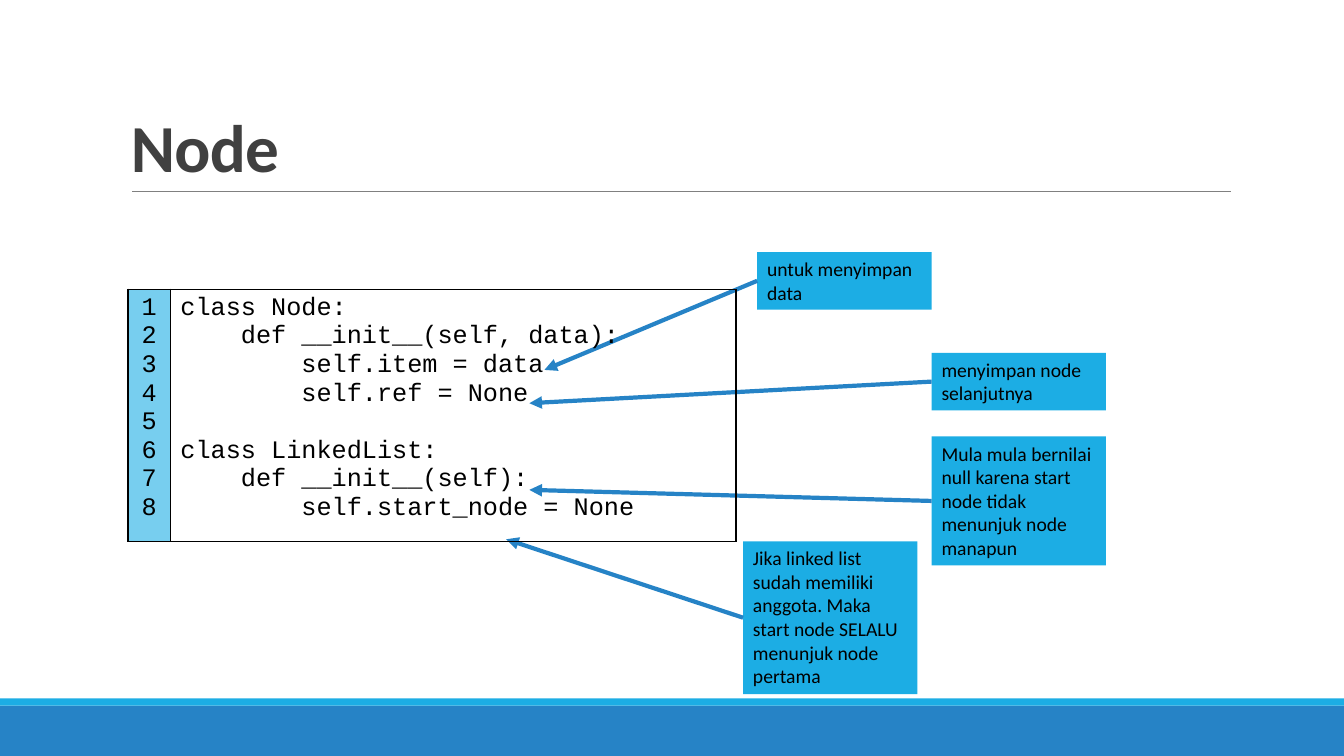
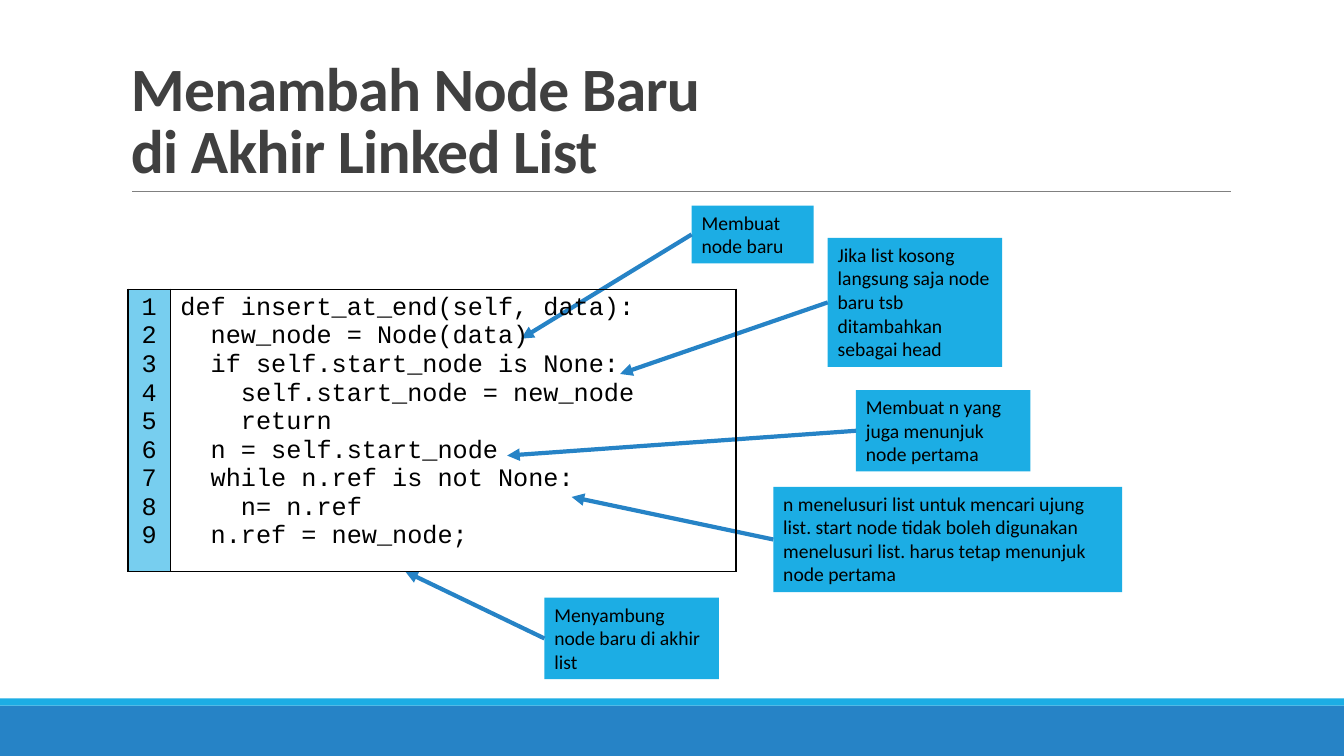
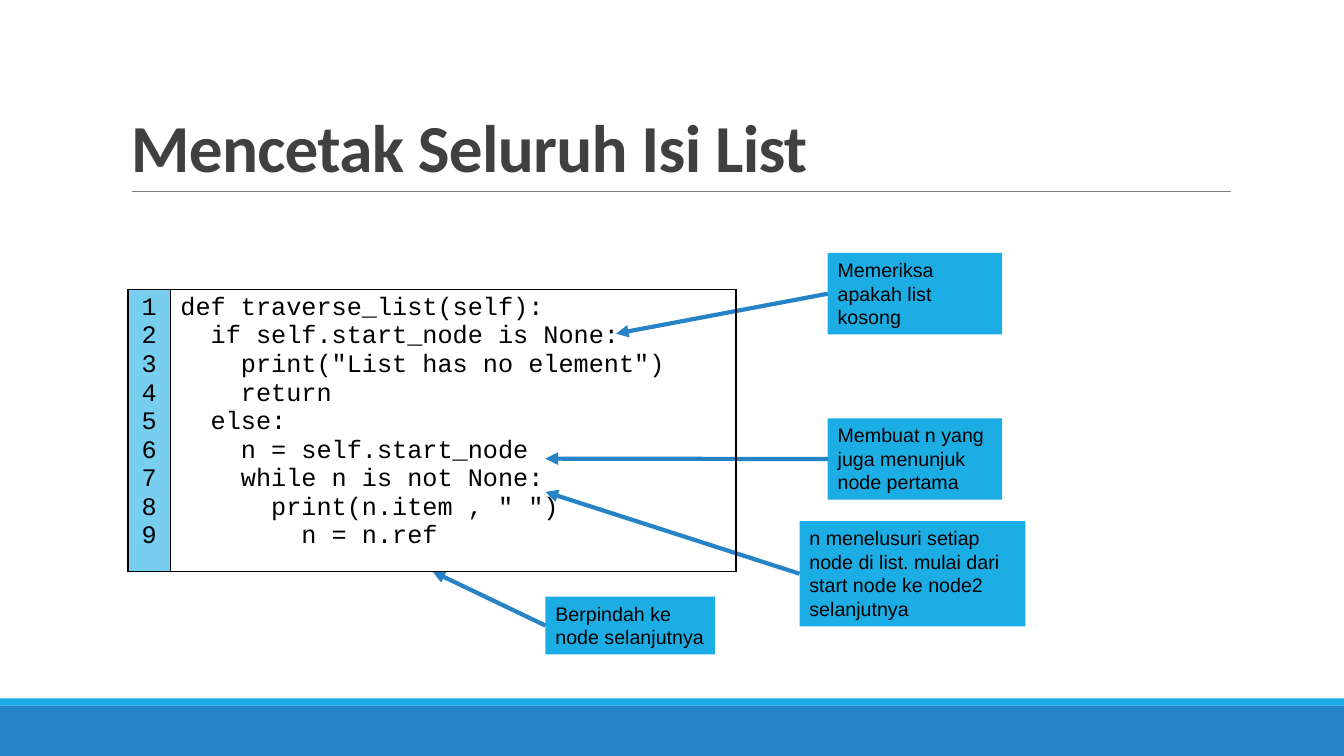
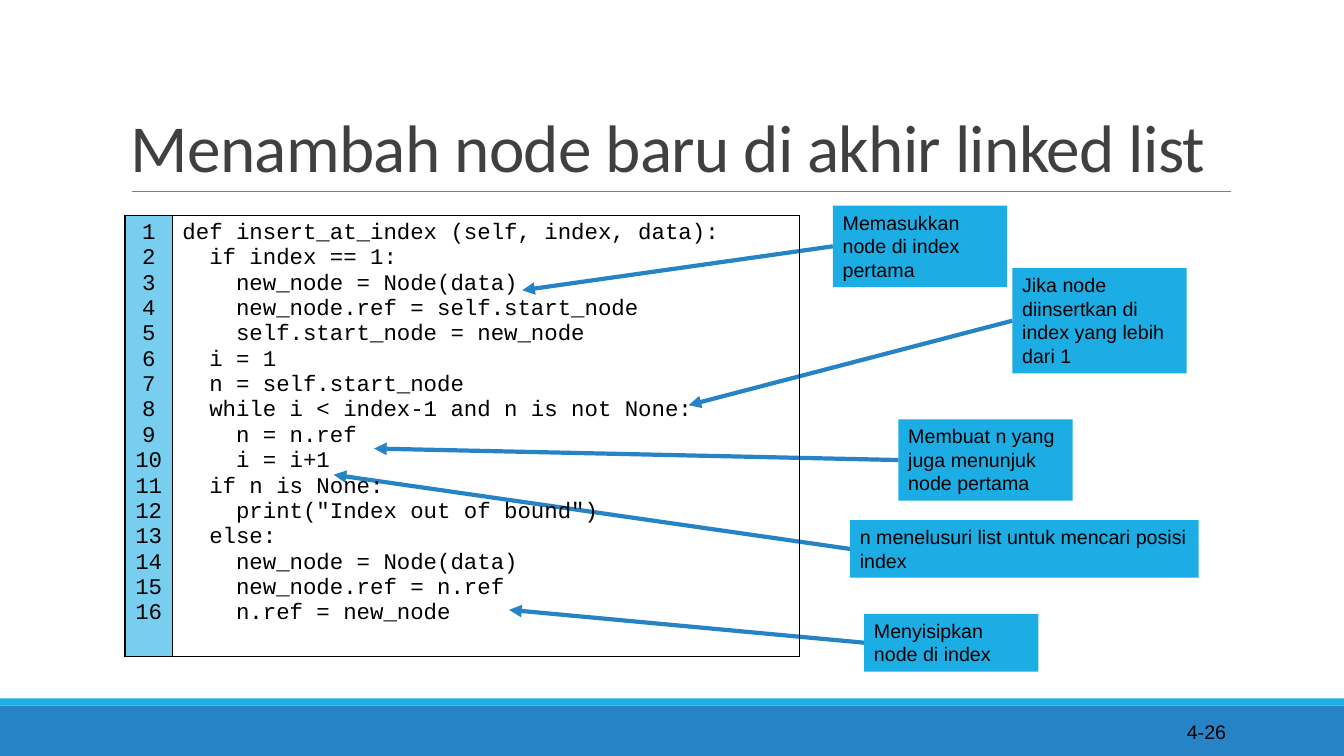
from pptx import Presentation
from pptx.dml.color import RGBColor
from pptx.enum.shapes import MSO_CONNECTOR as CONN, MSO_SHAPE as SHAPE
from pptx.enum.text import MSO_ANCHOR as ANCHOR, PP_ALIGN as ALIGN
from pptx.oxml import parse_xml
from pptx.oxml.ns import nsdecls, qn
from pptx.util import Inches, Pt

COLORS = {"blue": "2683C6", "cyan": "1CADE4", "pale": "77CEEF",
          "rule": "808080", "title": "404040", "black": "000000"}
LEFT_SIDE = 1
NOTE_W = 1.73

# notes: (text, left, top, width, text lines, arrow tip)
# table: left, top, height, number column width, code column width, text size
SLIDES = [
    {"title": "Node", "size": 48, "bold": True, "font": "Calibri",
     "table": (1.27, 2.87, 2.5, 0.42, 5.61, 18),
     "code": """class Node:
    def __init__(self, data):
        self.item = data
        self.ref = None

class LinkedList:
    def __init__(self):
        self.start_node = None""",
     "notes": [
         ("untuk menyimpan data", 7.51, 2.5, NOTE_W, 2, (5.4, 3.67)),
         ("menyimpan node selanjutnya", 9.24, 3.5, NOTE_W, 2, (5.25, 4)),
         ("Mula mula bernilai null karena start node tidak menunjuk node manapun",
          9.24, 4.33, NOTE_W, 5, (5.25, 4.86)),
         ("Jika linked list sudah memiliki anggota. Maka start node SELALU "
          "menunjuk node pertama", 7.37, 5.37, NOTE_W, 6, (5.02, 5.35)),
     ]},
    {"title": "Menambah Node Baru\ndi Akhir Linked List", "size": 44, "bold": True,
     "font": "Calibri",
     "table": (1.27, 2.87, 2.8, 0.42, 5.61, 18),
     "code": """def insert_at_end(self, data):
  new_node = Node(data)
  if self.start_node is None:
    self.start_node = new_node
    return
  n = self.start_node
  while n.ref is not None:
    n= n.ref
  n.ref = new_node;""",
     "notes": [
         ("Membuat node baru", 6.86, 2.04, 1.21, 2, (5.17, 3.36)),
         ("Jika list kosong langsung saja node baru tsb ditambahkan sebagai head",
          8.21, 2.36, NOTE_W, 5, (6.15, 3.71)),
         ("Membuat n yang juga menunjuk node pertama",
          8.49, 3.87, NOTE_W, 3, (5.03, 4.52)),
         ("n menelusuri list untuk mencari ujung list. start node tidak boleh "
          "digunakan menelusuri list. harus tetap menunjuk node pertama",
          7.67, 4.83, 2 * NOTE_W, 4, (5.67, 4.93)),
         ("Menyambung node baru di akhir list", 5.4, 5.93, NOTE_W, 3, (4.02, 5.67)),
     ]},
    {"title": "Mencetak Seluruh Isi List", "size": 48, "bold": True, "font": "Arial",
     "table": (1.27, 2.87, 2.8, 0.42, 5.61, 18),
     "code": """def traverse_list(self):
  if self.start_node is None:
    print("List has no element")
    return
  else:
    n = self.start_node
    while n is not None:
      print(n.item , " ")
        n = n.ref""",
     "notes": [
         ("Memeriksa apakah list kosong", 8.21, 2.51, NOTE_W, 3, (6.11, 3.31)),
         ("Membuat n yang juga menunjuk node pertama",
          8.21, 4.15, NOTE_W, 3, (5.41, 4.55)),
         ("n menelusuri setiap node di list. mulai dari start node ke node2 "
          "selanjutnya", 7.93, 5.17, 2.24, 4, (5.41, 4.88)),
         ("Berpindah ke node selanjutnya", 5.41, 5.92, 1.68, 2, (4.29, 5.67)),
     ]},
    {"title": "Menambah node baru di akhir linked list", "size": 48, "bold": False,
     "font": "Arial", "number": "4-26",
     "table": (1.24, 2.14, 4.37, 0.47, 6.22, 16),
     "code": """def insert_at_index (self, index, data):
  if index == 1:
    new_node = Node(data)
    new_node.ref = self.start_node
    self.start_node = new_node
  i = 1
  n = self.start_node
  while i < index-1 and n is not None:
    n = n.ref
    i = i+1
  if n is None:
    print("Index out of bound")
  else:
    new_node = Node(data)
    new_node.ref = n.ref
    n.ref = new_node""",
     "notes": [
         ("Memasukkan node di index pertama", 8.26, 2.04, NOTE_W, 3, (5.18, 2.88)),
         ("Jika node diinsertkan di index yang lebih dari 1",
          10.04, 2.66, NOTE_W, 4, (6.83, 4.02)),
         ("Membuat n yang juga menunjuk node pertama",
          8.91, 4.16, NOTE_W, 3, (3.71, 4.45)),
         ("n menelusuri list untuk mencari posisi index",
          8.43, 5.16, 2 * NOTE_W, 2, (3.31, 4.71)),
         ("Menyisipkan node di index", 8.57, 6.09, NOTE_W, 2, (5.05, 6.05)),
     ]},
]


def rgb(name):
    return RGBColor.from_string(COLORS[name])


def paint(sp, color):
    sp.fill.solid()
    sp.fill.fore_color.rgb = rgb(color)


def style(p, font, size, color="black", bold=False, align=ALIGN.LEFT):
    p.font.name, p.font.size, p.font.bold = font, Pt(size), bold
    p.font.color.rgb = rgb(color)
    p.alignment = align


def add_text(s, text, left, top, width, height, anchor=ANCHOR.TOP):
    """Add a wrapping text box; return it with its first paragraph."""
    sp = s.shapes.add_textbox(*map(Inches, (left, top, width, height)))
    tf = sp.text_frame
    tf.word_wrap = True
    tf.vertical_anchor = anchor
    p = tf.paragraphs[0]
    p.text = text
    return sp, p


def add_line(s, start, end, color, width):
    line = s.shapes.add_connector(CONN.STRAIGHT, *map(Inches, (*start, *end)))
    line.line.color.rgb = rgb(color)
    line.line.width = Pt(width)
    line._element.spPr.append(parse_xml(f"<a:effectLst {nsdecls('a')}/>"))
    return line


def add_frame(s, title, size, bold):
    """Add the bands, the rule and the title that every slide has."""
    for top, height, color in ((7, 0.5, "blue"), (6.93, 0.07, "cyan")):
        band = s.shapes.add_shape(SHAPE.RECTANGLE, 0, Inches(top),
                                  prs.slide_width, Inches(height))
        paint(band, color)
        band.line.fill.background()
        band.shadow.inherit = False
    add_line(s, (1.31, 1.9), (12.21, 1.9), "rule", 0.5)
    _, p = add_text(s, title, 1.2, 0.31, 11, 1.59, ANCHOR.BOTTOM)
    style(p, "Calibri", size, "title", bold)
    p.line_spacing = 0.85
    p._p.pPr.find(qn("a:defRPr")).set("spc", "-50")


def add_note(s, font, text, left, top, width, lines, tip):
    box, p = add_text(s, text, left, top, width, 0.1 + 0.236 * lines)
    paint(box, "cyan")
    style(p, font, 14)
    arrow = add_line(s, (left, top), tip, "blue", 3)
    arrow.begin_connect(box, LEFT_SIDE)
    arrow.line._get_or_add_ln().append(
        parse_xml(f'<a:tailEnd {nsdecls("a")} type="triangle"/>'))


def add_borders(cell):
    tcPr = cell._tc.get_or_add_tcPr()
    for i, side in enumerate(("lnL", "lnR", "lnT", "lnB")):
        tcPr.insert(i, parse_xml(
            f'<a:{side} {nsdecls("a")} w="{Pt(1)}"><a:solidFill>'
            f'<a:srgbClr val="{COLORS["black"]}"/></a:solidFill></a:{side}>'))


def add_code(s, code, left, top, height, number_w, code_w, size):
    table = s.shapes.add_table(1, 2, *map(
        Inches, (left, top, number_w + code_w, height))).table
    table.first_row = table.horz_banding = False
    lines = code.split("\n")
    numbers = [str(n) for n in range(1, len(lines) + 1)]
    columns = ((numbers, number_w, ALIGN.CENTER), (lines, code_w, ALIGN.LEFT))
    for i, (texts, width, align) in enumerate(columns):
        table.columns[i].width = Inches(width)
        cell = table.cell(0, i)
        cell.text = "\n".join(texts)
        for p in cell.text_frame.paragraphs:
            style(p, "Courier New", size, align=align)
        add_borders(cell)
    paint(table.cell(0, 0), "pale")
    table.cell(0, 1).fill.background()


prs = Presentation()
prs.slide_width, prs.slide_height = Inches(13.33), Inches(7.5)
for data in SLIDES:
    s = prs.slides.add_slide(prs.slide_layouts[6])
    add_frame(s, data["title"], data["size"], data["bold"])
    if "number" in data:
        _, p = add_text(s, data["number"], 10.83, 7.06, 1.43, 0.4, ANCHOR.MIDDLE)
        style(p, "Arial", 14, align=ALIGN.RIGHT)
    for note in data["notes"]:
        add_note(s, data["font"], *note)
    add_code(s, data["code"], *data["table"])
prs.save("out.pptx")
